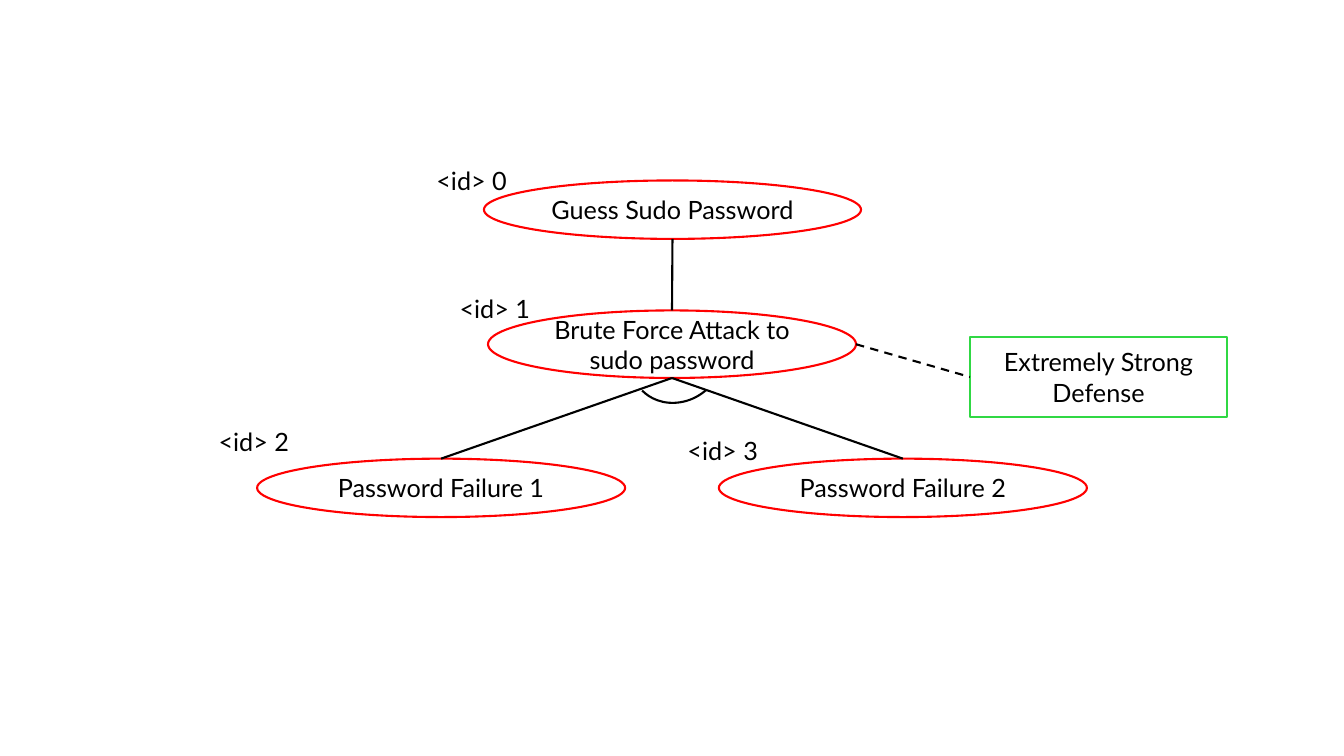
import pptx
import pptx.util
import pptx.dml.color
import pptx.enum.dml
import pptx.enum.shapes
import pptx.enum.text
import pptx.oxml.ns
import lxml.etree

BLACK = pptx.dml.color.RGBColor(0x00, 0x00, 0x00)
RED = pptx.dml.color.RGBColor(0xFF, 0x00, 0x00)
GREEN = pptx.dml.color.RGBColor(0x30, 0xD8, 0x44)
SHAPES = pptx.enum.shapes.MSO_SHAPE
TOP, LEFT = 0, 1


def px(length):
    """Turn px, at 100 to the inch, into EMU."""
    return pptx.util.Emu(length * 9144)


class AttackTree:
    """Draws the parts of an attack tree on one slide in one style."""

    font_name = "Lato"
    font_size = pptx.util.Pt(18)
    line_width = pptx.util.Pt(1.5)

    def __init__(self, page):
        self.page = page

    def set_text(self, frame, text, align):
        frame.word_wrap = True
        para = frame.paragraphs[0]
        para.text = text
        para.alignment = align
        para.font.name = self.font_name
        para.font.size = self.font_size
        para.font.color.rgb = BLACK

    def outline(self, kind, bounds, color):
        shape = self.page.shapes.add_shape(kind, *map(px, bounds))
        shape.shadow.inherit = False
        shape.fill.background()
        shape.line.color.rgb = color
        shape.line.width = self.line_width
        return shape

    def node(self, text, bounds, color=RED, kind=SHAPES.OVAL):
        shape = self.outline(kind, bounds, color)
        shape.text_frame.vertical_anchor = pptx.enum.text.MSO_ANCHOR.MIDDLE
        self.set_text(shape.text_frame, text, pptx.enum.text.PP_ALIGN.CENTER)
        return shape

    def label(self, text, left, top):
        box = self.page.shapes.add_textbox(px(left), px(top), px(113), px(40))
        self.set_text(box.text_frame, text, pptx.enum.text.PP_ALIGN.LEFT)
        box.text_frame.auto_size = pptx.enum.text.MSO_AUTO_SIZE.SHAPE_TO_FIT_TEXT

    def link(self, start, target, side, dashed=False):
        line = self.page.shapes.add_connector(
            pptx.enum.shapes.MSO_CONNECTOR.STRAIGHT, *start, *start)
        line.end_connect(target, side)
        line.line.color.rgb = BLACK
        line.line.width = self.line_width
        if dashed:
            line.line.dash_style = pptx.enum.dml.MSO_LINE.DASH
        properties = line._element.spPr
        lxml.etree.SubElement(properties, pptx.oxml.ns.qn("a:effectLst"))

    def and_arc(self, bounds, rotation, angles):
        arc = self.outline(SHAPES.ARC, bounds, BLACK)
        arc.rotation = rotation
        for index, angle in enumerate(angles):
            arc.adjustments[index] = angle


def bottom(shape):
    return shape.left + shape.width // 2, shape.top + shape.height


def right(shape):
    return shape.left + shape.width, shape.top + shape.height // 2


def main():
    deck = pptx.Presentation()
    deck.slide_width, deck.slide_height = px(1333), px(750)
    tree = AttackTree(deck.slides.add_slide(deck.slide_layouts[6]))

    goal = tree.node("Guess Sudo Password", (480, 179, 374, 58))
    attack = tree.node("Brute Force Attack to sudo password", (484, 308, 365, 67))
    failures = [
        tree.node(f"Password Failure {number}", (left, 455, 365, 58))
        for number, left in enumerate((255, 713), start=1)
    ]
    for failure in failures:
        tree.link(bottom(attack), failure, TOP)
    tree.link(bottom(goal), attack, TOP)

    defense = tree.node("Extremely Strong Defense", (962, 334, 255, 80),
                        GREEN, SHAPES.RECTANGLE)
    tree.link(right(attack), defense, LEFT, dashed=True)
    tree.and_arc((624, 312, 95, 86), 143, (158.69, 212.38))

    corners = ((423, 159), (446, 286), (207, 418), (672, 427))
    for number, (left, top) in enumerate(corners):
        tree.label(f"<id> {number}", left, top)

    deck.save("out.pptx")


if __name__ == "__main__":
    main()
